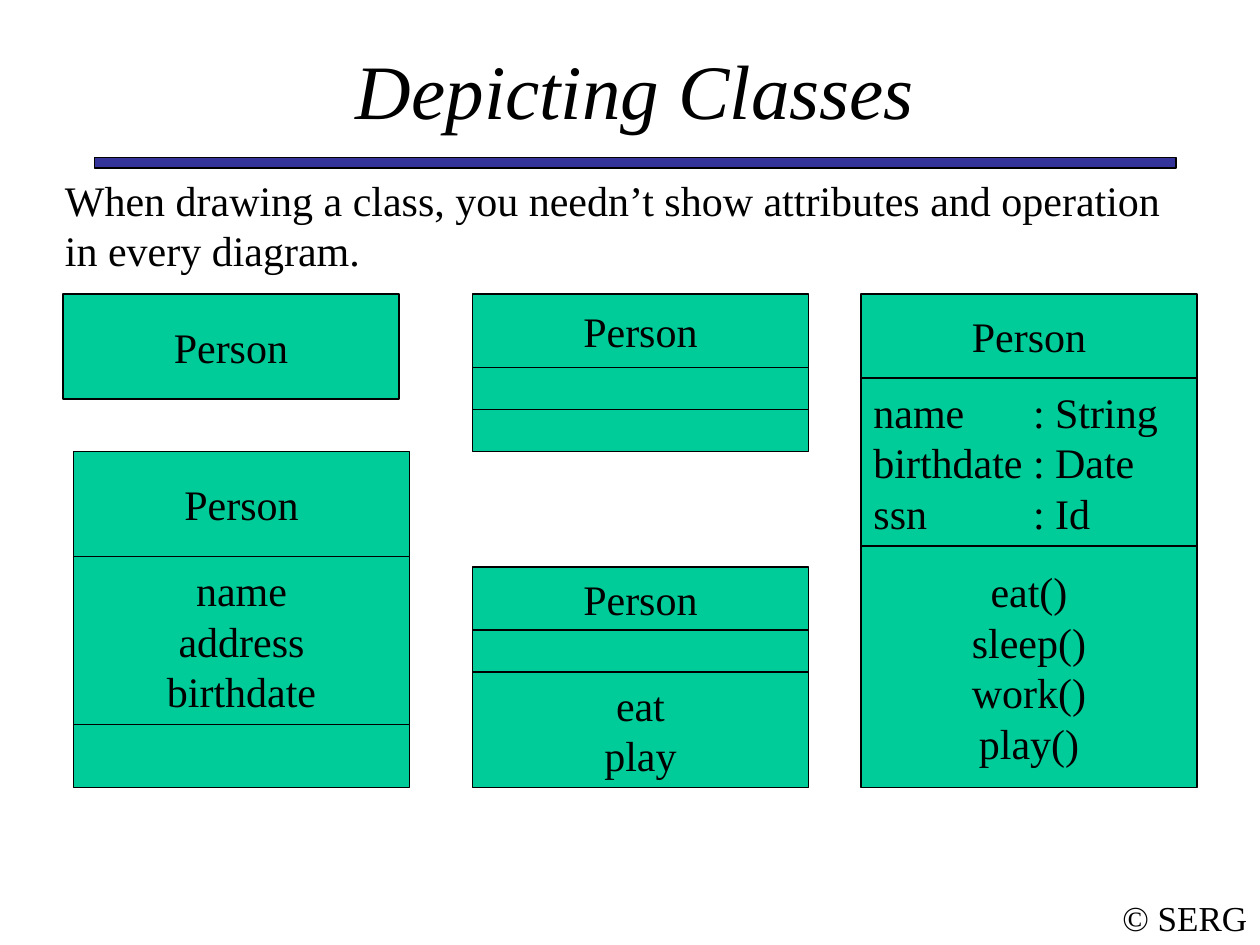
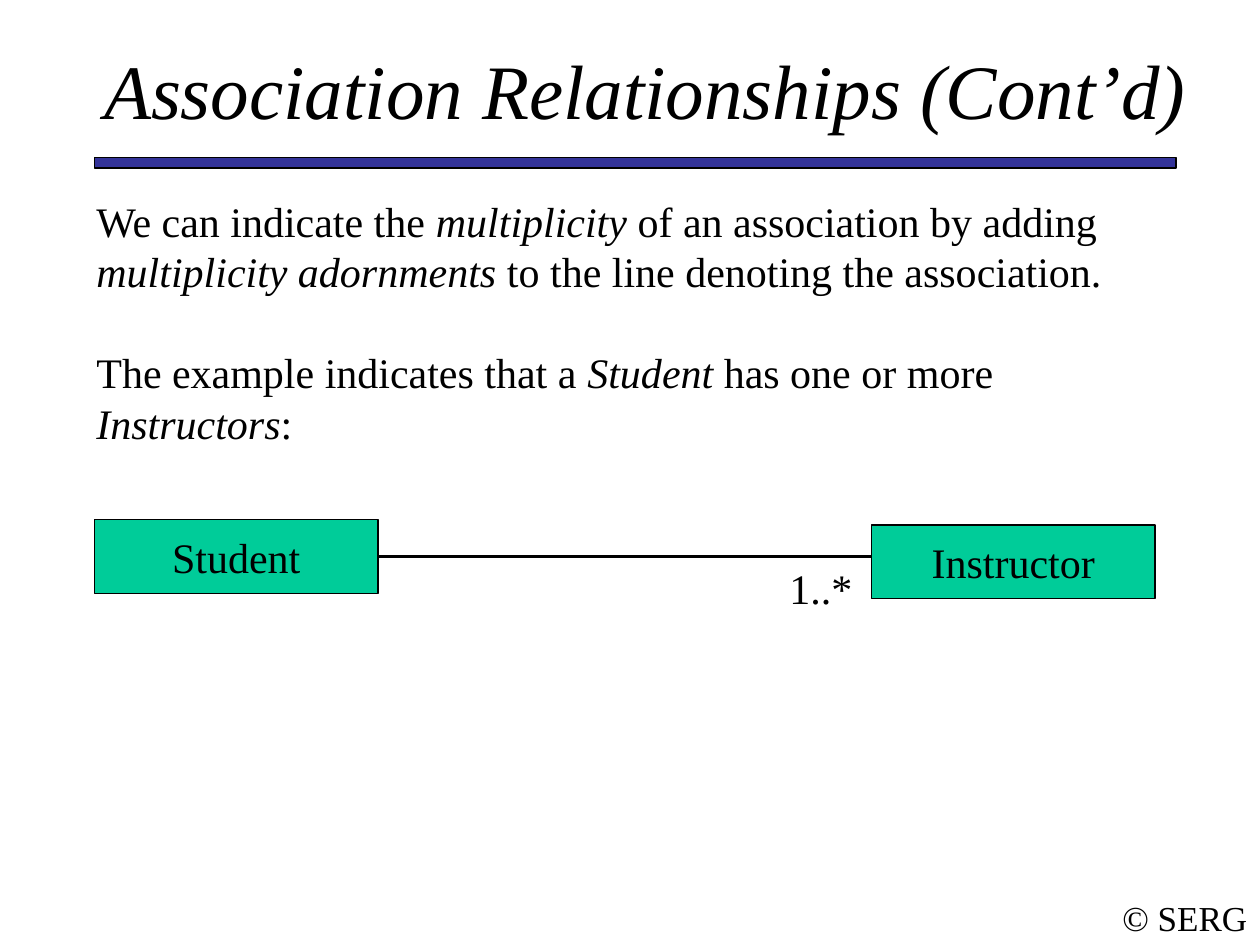
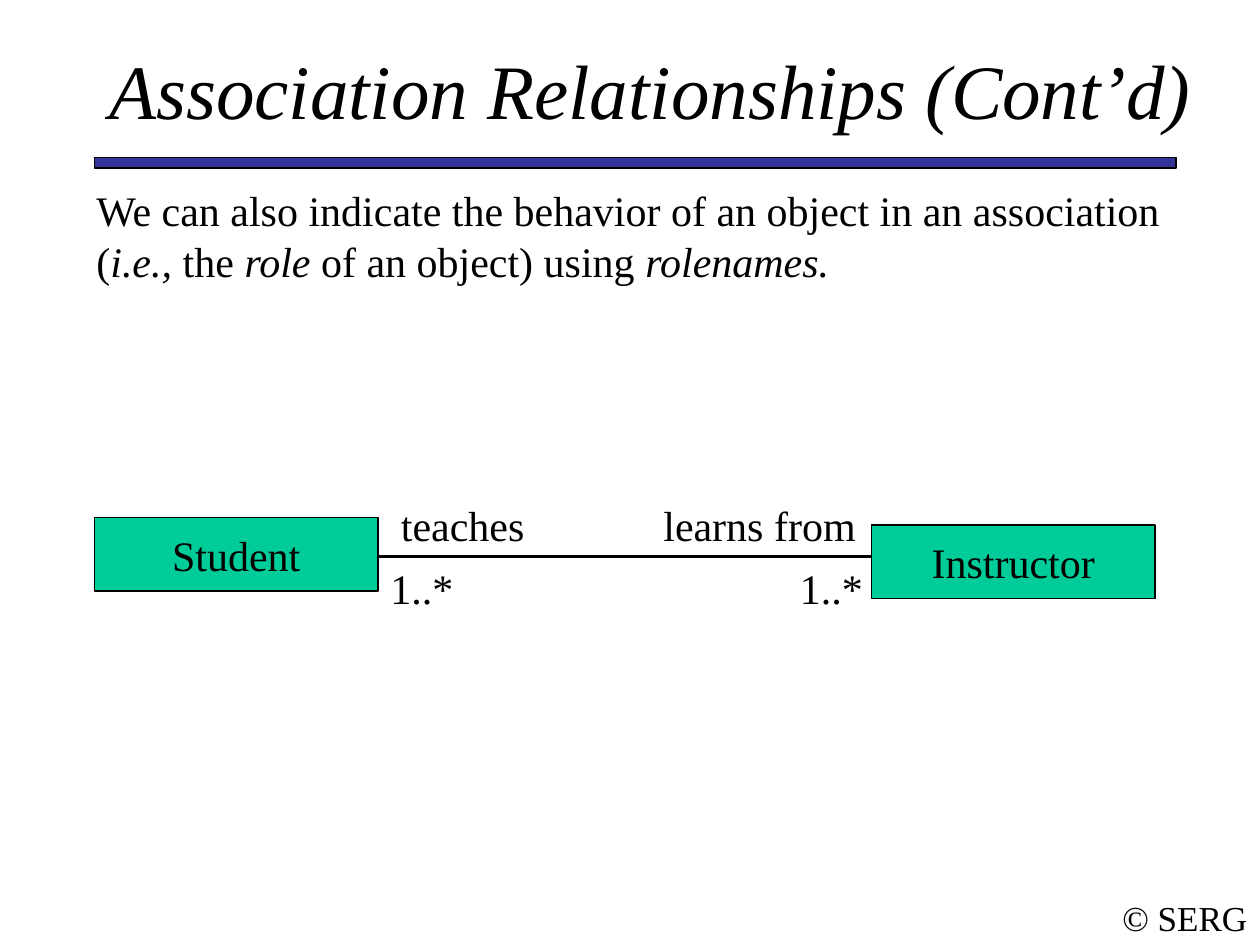
"""Builds three slides on drawing classes and their associations."""
from lxml import etree
from pptx import Presentation
from pptx.dml.color import RGBColor
from pptx.enum.shapes import MSO_CONNECTOR, MSO_SHAPE
from pptx.enum.text import MSO_ANCHOR, PP_ALIGN
from pptx.oxml.ns import qn
from pptx.util import Pt

LEFT, MID = PP_ALIGN.LEFT, PP_ALIGN.CENTER
TOP, CENTRE = MSO_ANCHOR.TOP, MSO_ANCHOR.MIDDLE
RECT, STRAIGHT = MSO_SHAPE.RECTANGLE, MSO_CONNECTOR.STRAIGHT

PX = 7620
FONT = "Times New Roman"
HEX = {"ink": "000000", "bar": "333399", "box": "00CC99"}
GAP = 29
TAB = 152
WIDE, ROW = 320, 40

CLASSES = [
    (820, 280, [(80, ["Person"]),
                (160, ["name\t: String", "birthdate\t: Date", "ssn\t: Id"]),
                (230, ["eat()", "sleep()", "work()", "play()"])]),
    (60, 280, [(100, ["Person"])]),
    (70, 430, [(100, ["Person"]),
               (160, ["name", "address", "birthdate"]), (60, [])]),
    (450, 540, [(60, ["Person"]), (ROW, []), (110, ["eat", "play"])]),
    (450, 280, [(70, ["Person"]), (ROW, []), (ROW, [])]),
]

SLIDES = [
    {"title": ("Depicting Classes", 90, 1030),
     "body": (50, 160, 1096, 108, [
         "When drawing a class, you needn’t show attributes and operation "
         "in every diagram."]),
     "classes": CLASSES},
    {"title": ("Association Relationships (Cont’d)", 80, 1070),
     "body": (80, 180, 1064, 252, [
         "We can indicate the _multiplicity_ of an association by adding "
         "_multiplicity adornments_ to the line denoting the association.",
         "The example indicates that a _Student_ has one or more "
         "_Instructors_:"]),
     "student": 495,
     "labels": [("1..*", 740, 530, 90)]},
    {"title": ("Association Relationships (Cont’d)", 80, 1080),
     "body": (80, 170, 1064, 108, [
         "We can also indicate the behavior of an object in an association "
         "(_i.e.,_ the _role _of an object) using _rolenames._"]),
     "student": 493,
     "labels": [("1..*", 750, 530, 90), ("1..*", 360, 530, 90),
                ("learns from", 620, 470, 210), ("teaches", 370, 470, 150)]},
]


def tint(name):
    return RGBColor.from_string(HEX[name])


def place(*spot):
    return [n * PX for n in spot]


def tab_stop(para):
    stops = etree.SubElement(para._p.get_or_add_pPr(), qn("a:tabLst"))
    etree.SubElement(stops, qn("a:tab"), pos=str(TAB * PX), algn="l")


def write(shape, lines, size=24, align=LEFT, anchor=TOP, wrap=True,
          slant=False):
    frame = shape.text_frame
    frame.word_wrap = wrap
    frame.vertical_anchor = anchor
    for i, line in enumerate(lines):
        para = frame.add_paragraph() if i else frame.paragraphs[0]
        para.alignment = align
        if i and align == LEFT and "\t" not in line:
            para.space_before = Pt(GAP)
        if "\t" in line:
            tab_stop(para)
        for k, part in enumerate(line.split("_")):
            if not part:
                continue
            run = para.add_run()
            run.text = part
            font = run.font
            font.name, font.size = FONT, Pt(size)
            font.italic = slant or k % 2 == 1
            font.color.rgb = tint("ink")


def text(slide, spot, lines, **style):
    write(slide.shapes.add_textbox(*place(*spot)), lines, **style)


def box(slide, spot, lines=(), fill="box"):
    shape = slide.shapes.add_shape(RECT, *place(*spot))
    shape.shadow.inherit = False
    shape.fill.solid()
    shape.fill.fore_color.rgb = tint(fill)
    shape.line.color.rgb = tint("ink")
    shape.line.width = Pt(0.75)
    tabbed = any("\t" in line for line in lines)
    write(shape, lines, align=LEFT if tabbed else MID, anchor=CENTRE)


def stack(slide, x, y, parts):
    for high, lines in parts:
        box(slide, (x, y, WIDE, high), lines)
        y += high


def link(slide, student):
    line = slide.shapes.add_connector(STRAIGHT, *place(360, 530, 840, 530))
    line.line.color.rgb = tint("ink")
    line.line.width = Pt(2.25)
    etree.SubElement(line._element.spPr, qn("a:effectLst"))
    box(slide, (830, 500, 270, 70), ["Instructor"])
    box(slide, (90, student, 270, 70), ["Student"])


def frame(slide, title, x, wide):
    text(slide, (1057, 847, 143, 53), ["© SERG"], size=20, align=MID,
         anchor=CENTRE, wrap=False)
    box(slide, (90, 150, 1030, 10), fill="bar")
    text(slide, (x, 50, wide, 70), [title], size=44, align=MID,
         anchor=CENTRE, slant=True)


def main():
    deck = Presentation()
    deck.slide_width, deck.slide_height = place(1200, 900)
    for page in SLIDES:
        slide = deck.slides.add_slide(deck.slide_layouts[6])
        frame(slide, *page["title"])
        *spot, lines = page["body"]
        text(slide, spot, lines)
        for item in page.get("classes", []):
            stack(slide, *item)
        if "student" in page:
            link(slide, page["student"])
        for label, x, y, wide in page.get("labels", []):
            text(slide, (x, y, wide, 60), [label])
    deck.save("out.pptx")


if __name__ == "__main__":
    main()
